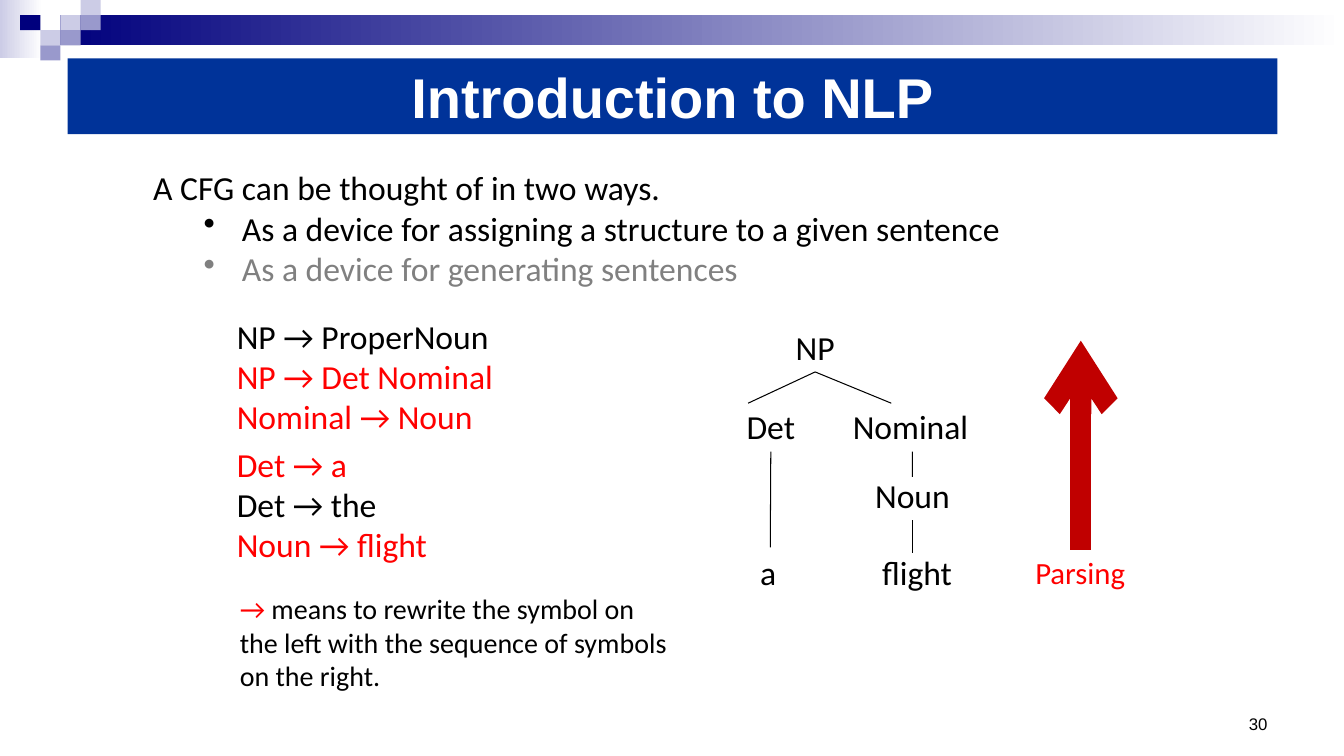
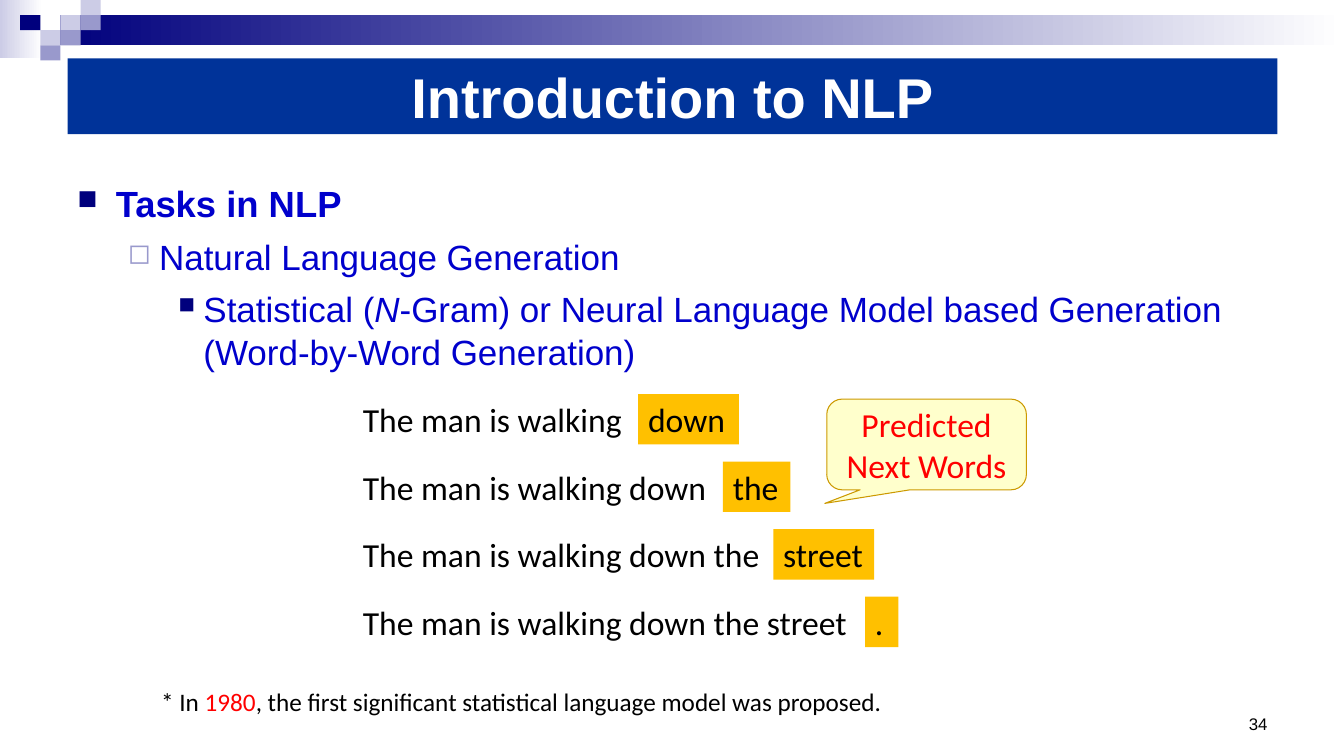
from dataclasses import dataclass, field
from typing import Optional

from lxml.etree import SubElement
from pptx import Presentation
from pptx.dml.color import RGBColor
from pptx.enum.shapes import MSO_CONNECTOR, MSO_SHAPE
from pptx.enum.text import MSO_ANCHOR, PP_ALIGN
from pptx.oxml.ns import qn
from pptx.util import Inches, Pt


@dataclass(frozen=True)
class Theme:
    navy: str = "00007D"
    lavender: str = "9999CC"
    pale: str = "CCCCE6"
    title_blue: str = "003399"
    body_blue: str = "0000CC"
    white: str = "FFFFFF"
    black: str = "000000"
    grey: str = "808080"
    red: str = "FF0000"
    arrow_red: str = "C00000"
    amber: str = "FFC000"
    callout_fill: str = "FFFFCC"
    callout_line: str = "CC9900"
    heading_font: str = "Arial"
    text_font: str = "Calibri"
    title_size: int = 40
    heading_size: int = 26
    body_size: int = 25
    text_size: int = 24
    label_size: int = 22
    note_size: int = 20
    footnote_size: int = 18
    number_size: int = 12


T = Theme()


@dataclass
class Run:
    text: str
    color: str = T.black
    size: float = T.text_size
    font: str = T.text_font
    bold: bool = False
    italic: bool = False


@dataclass
class Bullet:
    char: str
    left: float
    hanging: float
    color: Optional[str] = None
    percent: Optional[int] = None


@dataclass
class Para:
    runs: list[Run]
    align: PP_ALIGN = PP_ALIGN.LEFT
    before: float = 0
    level: int = 0
    spacing: Optional[float] = None
    bullet: Optional[Bullet] = None


@dataclass
class Node:
    """A label of the parse tree, with the line that leaves it downwards."""
    text: str
    x: float
    y: float
    w: float
    align: PP_ALIGN = PP_ALIGN.CENTER
    line_ends: list[tuple[float, float]] = field(default_factory=list)


def rgb(color: str) -> RGBColor:
    return RGBColor.from_string(color)


def line_of(text: str, color: str = T.black, **formats) -> Para:
    return Para([Run(text, color)], **formats)


# Text
def add_bullet(p, bullet: Bullet) -> None:
    pPr = p._p.get_or_add_pPr()
    pPr.set("marL", str(Inches(bullet.left)))
    pPr.set("indent", str(-Inches(bullet.hanging)))
    if bullet.color:
        SubElement(SubElement(pPr, qn("a:buClr")), qn("a:srgbClr")).set("val", bullet.color)
    if bullet.percent:
        SubElement(pPr, qn("a:buSzPct")).set("val", str(bullet.percent * 1000))
    SubElement(pPr, qn("a:buChar")).set("char", bullet.char)


def write(s, paras: list[Para], anchor=MSO_ANCHOR.TOP, wrap: bool = True) -> None:
    tf = s.text_frame
    tf.word_wrap, tf.vertical_anchor = wrap, anchor
    for i, para in enumerate(paras):
        p = tf.add_paragraph() if i else tf.paragraphs[0]
        if para.bullet:
            add_bullet(p, para.bullet)
        formats = {"alignment": para.align, "level": para.level,
                   "space_before": Pt(para.before), "line_spacing": para.spacing}
        for name, value in formats.items():
            setattr(p, name, value)
        for run in para.runs:
            r = p.add_run()
            r.text = run.text
            formats = {"name": run.font, "size": Pt(run.size),
                       "bold": run.bold, "italic": run.italic}
            for name, value in formats.items():
                setattr(r.font, name, value)
            r.font.color.rgb = rgb(run.color)


def add_text(slide, x: float, y: float, w: float, h: float, paras: list[Para], **formats):
    sp = slide.shapes.add_textbox(Inches(x), Inches(y), Inches(w), Inches(h))
    write(sp, paras, **formats)
    return sp


# Shapes and lines
def add_box(slide, x: float, y: float, w: float, h: float, fill: str,
            fade: Optional[str] = None, shape=MSO_SHAPE.RECTANGLE):
    sp = slide.shapes.add_shape(shape, Inches(x), Inches(y), Inches(w), Inches(h))
    sp.shadow.inherit = False
    sp.line.fill.background()
    if fade:
        sp.fill.gradient()
        sp.fill.gradient_angle = 0
        for stop, color in zip(sp.fill.gradient_stops, (fill, fade)):
            stop.color.rgb = rgb(color)
    else:
        sp.fill.solid()
        sp.fill.fore_color.rgb = rgb(fill)
    return sp


def add_line(slide, x1: float, y1: float, x2: float, y2: float,
             color: str = T.black, width: float = 0.75):
    line = slide.shapes.add_connector(
        MSO_CONNECTOR.STRAIGHT, Inches(x1), Inches(y1), Inches(x2), Inches(y2))
    line.line.color.rgb = rgb(color)
    line.line.width = Pt(width)
    SubElement(line._element.spPr, qn("a:effectLst"))
    return line


# Parts shared by all slides
TILE_W, TILE_H = 0.2, 0.15
TILES = [(3, 1, T.pale), (4, 0, T.pale), (4, 1, T.lavender), (2, 2, T.pale),
         (1, 1, T.navy), (3, 2, T.lavender), (2, 3, T.lavender)]


def new_slide(prs, title: str, number: int):
    slide = prs.slides.add_slide(prs.slide_layouts[6])
    add_box(slide, 0, 0, 0.42, 0.58, T.pale, fade=T.white)
    add_box(slide, 0.6, 0.15, 12.73, 0.3, T.navy, fade=T.white)
    for col, row, color in TILES:
        add_box(slide, col * TILE_W, row * TILE_H, TILE_W, TILE_H, color)
    band = add_box(slide, 0.67, 0.58, 12, 0.75, T.title_blue)
    run = Run(title, T.white, T.title_size, T.heading_font, bold=True)
    write(band, [Para([run], PP_ALIGN.CENTER)], MSO_ANCHOR.MIDDLE)
    run = Run(str(number), size=T.number_size, font=T.heading_font)
    add_text(slide, 11.11, 6.83, 1.56, 0.5, [Para([run], PP_ALIGN.RIGHT)],
             anchor=MSO_ANCHOR.BOTTOM)
    return slide


# Slide: parsing with a grammar
TREE = [
    Node("NP", 7.75, 3.19, 0.67, line_ends=[(7.42, 4), (8.84, 4)]),
    Node("Det", 7.27, 3.98, 0.75, line_ends=[(7.64, 5.43)]),
    Node("Nominal", 8.36, 3.98, 1.38, PP_ALIGN.LEFT, [(9.05, 4.73)]),
    Node("Noun", 8.51, 4.66, 1.08, line_ends=[(9.05, 5.49)]),
    Node("a", 7.44, 5.43, 0.4, PP_ALIGN.LEFT),
    Node("flight", 8.65, 5.43, 0.96, PP_ALIGN.LEFT),
]


def build_parsing(prs) -> None:
    slide = new_slide(prs, "Introduction to NLP", 30)
    dot = Bullet("•", 0.88, 0.38)
    add_text(slide, 1.42, 1.61, 8.92, 1.31, [
        line_of("A CFG can be thought of in two ways."),
        line_of("As a device for assigning a structure to a given sentence",
                level=1, bullet=dot),
        line_of("As a device for generating sentences", T.grey, level=1, bullet=dot),
    ])

    # Grammar rules, those in use in red
    add_text(slide, 2.25, 3.08, 2.88, 1.31, [
        line_of("NP → ProperNoun"),
        line_of("NP → Det Nominal", T.red),
        line_of("Nominal → Noun", T.red),
    ])
    add_text(slide, 2.25, 4.35, 2.88, 1.31, [
        line_of("Det → a", T.red),
        line_of("Det → the"),
        line_of("Noun → flight", T.red),
    ])
    add_text(slide, 2.28, 5.82, 4.5, 1.11, [Para([
        Run("→", T.red, T.note_size),
        Run(" means to rewrite the symbol on the left with the sequence of "
            "symbols on the right.", size=T.note_size),
    ])])

    # Parse tree
    for node in TREE:
        sp = add_text(slide, node.x, node.y, node.w, 0.5,
                      [line_of(node.text, align=node.align)])
        for end_x, end_y in node.line_ends:
            line = add_line(slide, node.x + node.w / 2, node.y + 0.5, end_x, end_y)
            line.begin_connect(sp, 2)

    # Direction of parsing
    arrow = add_line(slide, 10.72, 3.38, 10.72, 5.46, T.arrow_red, 15)
    SubElement(arrow.line._get_or_add_ln(), qn("a:headEnd")).set("type", "arrow")
    add_text(slide, 10.17, 5.44, 1.1, 0.47,
             [Para([Run("Parsing", T.red, T.label_size)])], wrap=False)


# Slide: generating word by word
PREDICTIONS = [("down", 6.33, 1), ("the", 7.17, 0.67), ("street", 7.67, 1), (".", 8.58, 0.33)]


def body_run(text: str, size: float = T.body_size, **formats) -> Run:
    return Run(text, T.body_blue, size, T.heading_font, **formats)


def build_generation(prs) -> None:
    slide = new_slide(prs, "Introduction to NLP", 34)
    add_text(slide, 0.67, 1.75, 12, 2, [
        Para([body_run("Tasks in NLP", T.heading_size, bold=True)],
             bullet=Bullet("■", 0.38, 0.38, T.navy, 75)),
        Para([body_run("Natural Language Generation")], before=6, level=1, spacing=1.04,
             bullet=Bullet("◻", 0.81, 0.31, T.lavender, 80)),
        Para([body_run("Statistical ("), body_run("N", italic=True),
              body_run("-Gram) or Neural Language Model based Generation "
                       "(Word-by-Word Generation)")], before=6, level=2, spacing=1.04,
             bullet=Bullet("■", 1.25, 0.25, T.navy, 65)),
    ])

    # Each predicted word joins the sentence of the next row
    sentence = "The man is walking"
    for i, (word, x, w) in enumerate(PREDICTIONS):
        y = 3.91 + i * 0.67
        add_text(slide, 3.5, y, 5, 0.5, [line_of(sentence)])
        write(add_box(slide, x, y, w, 0.5, T.amber), [line_of(word)])
        sentence += " " + word

    callout = add_box(slide, 8.2, 3.96, 1.98, 0.9, T.callout_fill,
                      shape=MSO_SHAPE.ROUNDED_RECTANGULAR_CALLOUT)
    for i, value in enumerate((-0.51, 0.65, 0.17)):
        callout.adjustments[i] = value
    callout.line.color.rgb = rgb(T.callout_line)
    callout.line.width = Pt(0.75)
    write(callout, [line_of("Predicted Next Words", T.red, align=PP_ALIGN.CENTER)],
          MSO_ANCHOR.MIDDLE)

    # Footnote
    add_text(slide, 1.5, 6.76, 7.53, 0.4, [Para([
        Run("* In ", size=T.footnote_size),
        Run("1980", T.red, T.footnote_size),
        Run(", the first significant statistical language model was proposed.",
            size=T.footnote_size),
    ])])


def main() -> None:
    prs = Presentation()
    prs.slide_width, prs.slide_height = Inches(13.33), Inches(7.5)
    build_parsing(prs)
    build_generation(prs)
    prs.save("out.pptx")


if __name__ == "__main__":
    main()
